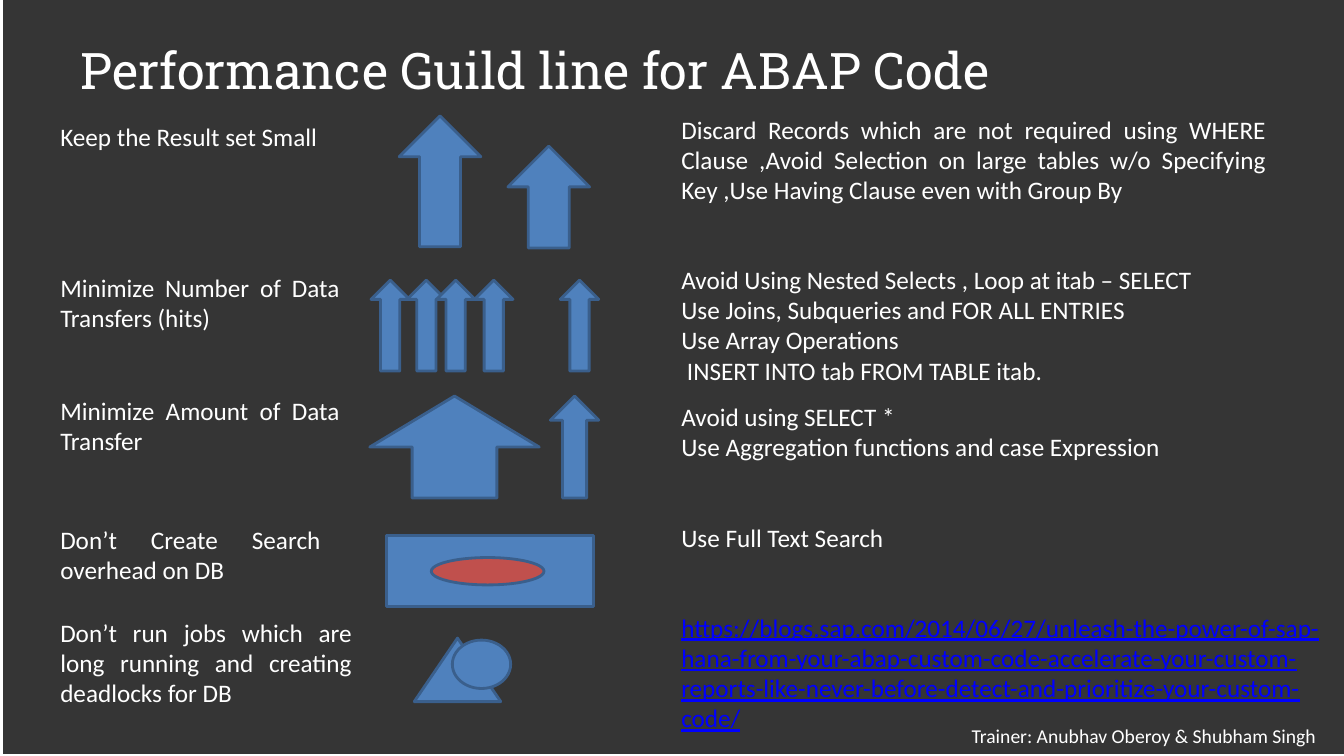
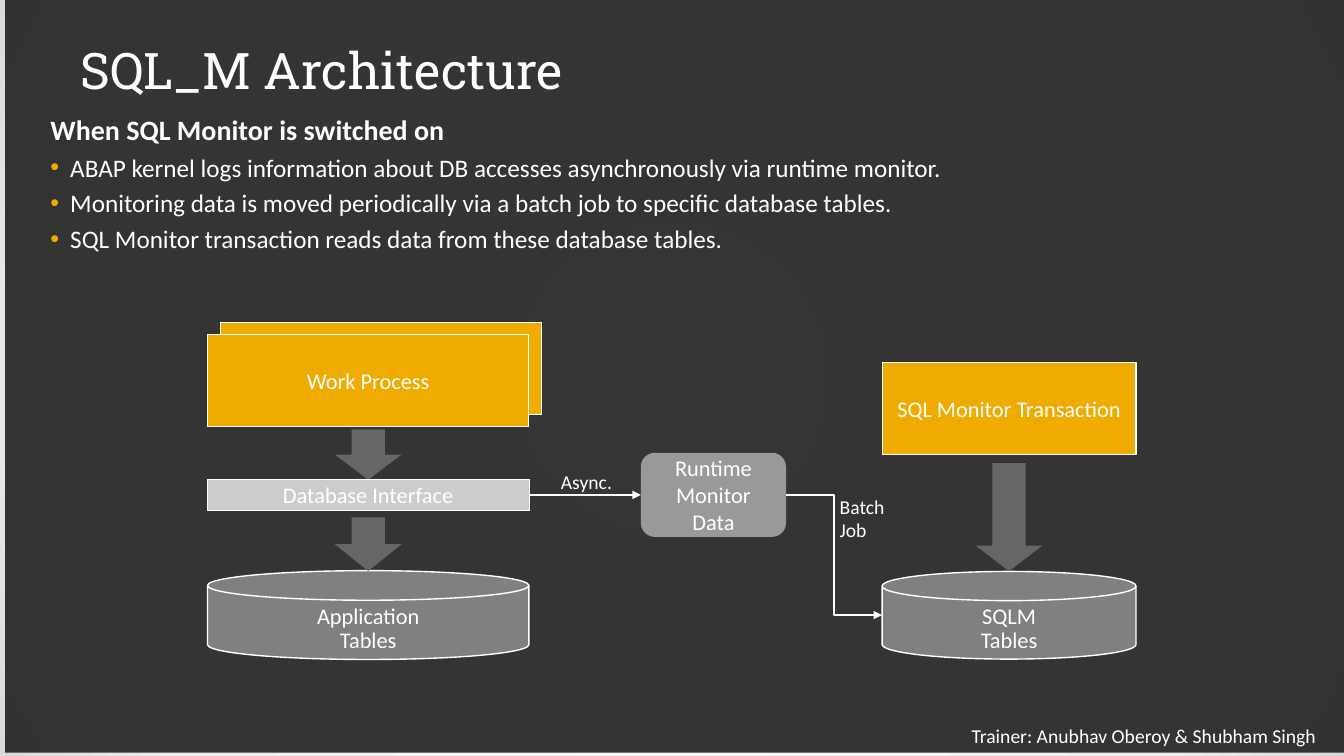
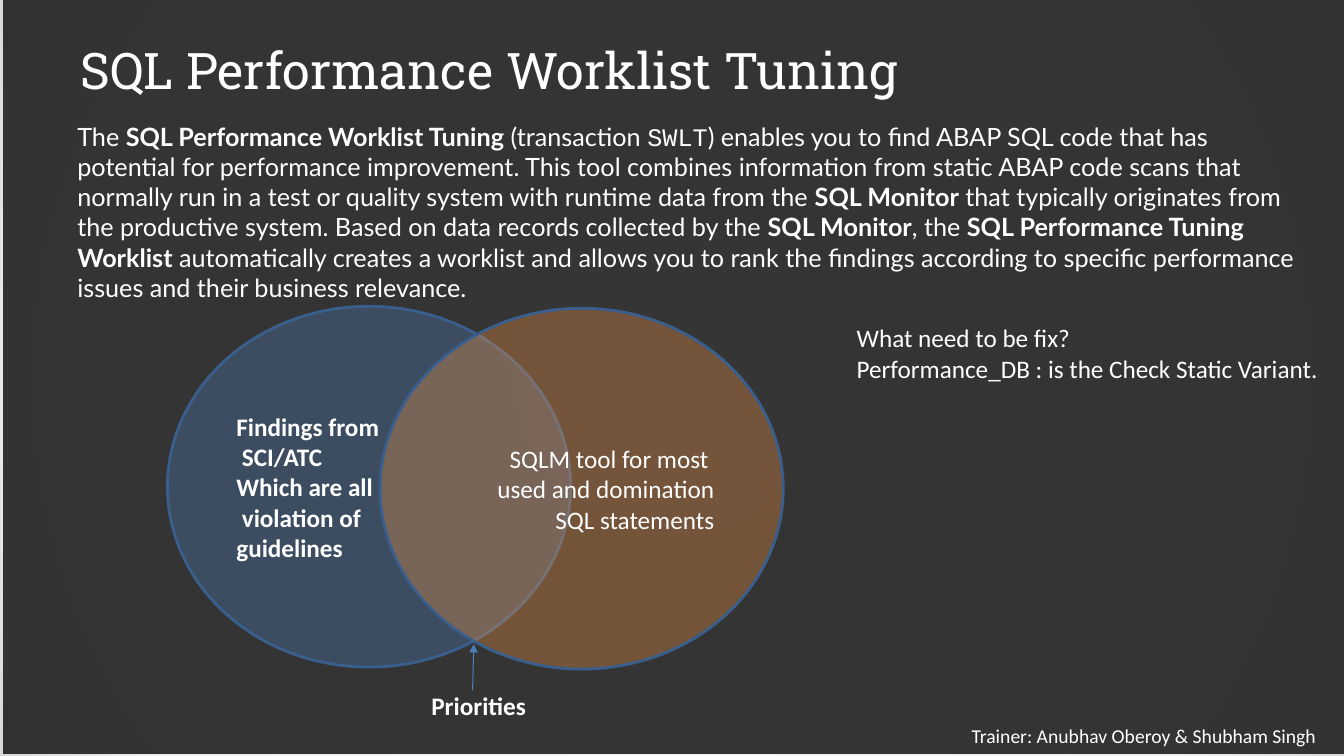
from dataclasses import dataclass

from lxml.etree import SubElement
from pptx import Presentation
from pptx.dml.color import RGBColor
from pptx.enum.shapes import MSO_CONNECTOR as Link, MSO_SHAPE as Shape
from pptx.enum.text import MSO_ANCHOR as Anchor, MSO_AUTO_SIZE as AutoSize, PP_ALIGN as Align
from pptx.oxml import parse_xml
from pptx.oxml.ns import nsdecls, qn
from pptx.util import Cm, Pt

WHITE = RGBColor(0xFF, 0xFF, 0xFF)
CHARCOAL = RGBColor(0x26, 0x26, 0x26)
BLUE = RGBColor(0x4F, 0x81, 0xBD)
DARK_BLUE = RGBColor(0x3A, 0x5F, 0x8C)
ARROW_BLUE = RGBColor(0x4B, 0x7E, 0xBC)
LINK_BLUE = RGBColor(0x00, 0x00, 0xFF)
RED = RGBColor(0xC0, 0x50, 0x4D)
ORANGE = RGBColor(0xF7, 0x96, 0x46)
AMBER = RGBColor(0xF0, 0xAB, 0x00)
DARK_GREY = RGBColor(0x66, 0x66, 0x66)
GREY = RGBColor(0x80, 0x80, 0x80)
MID_GREY = RGBColor(0x99, 0x99, 0x99)
LIGHT_GREY = RGBColor(0xCC, 0xCC, 0xCC)

BODY_FONT = "Calibri"
TITLE_FONT = "Roboto Slab"
PROSE_FONT = "Lato"
CODE_FONT = "Courier New"

SLIDE_W, SLIDE_H = 33.87, 19.05
TITLE_BOX = (1.7, 0.76, 30.48, 1.98)
FOOTER_BOX = (23.93, 18.14, 9.8, 0.79)
BAND_INSETS = (0.33, 0.18, 0.33, 0.18)
DEFAULT_INSETS = (0.25, 0.13, 0.25, 0.13)
NO_INSETS = (0, 0, 0, 0)

BACKDROP = f"""<a:gradFill {nsdecls("a")} rotWithShape="1"><a:gsLst>
<a:gs pos="0"><a:srgbClr val="FFFFFF"/></a:gs>
<a:gs pos="81000"><a:srgbClr val="EEEEEE"/></a:gs>
<a:gs pos="100000"><a:srgbClr val="D9D9D9"/></a:gs></a:gsLst>
<a:path path="circle"><a:fillToRect l="50000" t="50000" r="50000" b="50000"/></a:path>
</a:gradFill>"""


@dataclass
class Guideline:
    top: float
    label: str
    label_width: float
    detail: str
    detail_shift: float
    detail_width: float
    symbols: list
    detail_color: RGBColor = WHITE


def arrow(*box):
    return Shape.UP_ARROW, box, BLUE


GUIDELINES = [
    Guideline(
        2.92, "Keep the Result set Small", 8.97,
        "Discard Records which are not required using WHERE Clause ,Avoid Selection on "
        "large tables w/o Specifying Key ,Use Having Clause even with Group By",
        -0.18, 15.24,
        [arrow(8.79, 0, 2.06, 3.3), arrow(11.53, 0.76, 2.06, 2.57)]),
    Guideline(
        6.73, "Minimize Number of Data Transfers (hits)", 7.54,
        "Avoid Using Nested Selects , Loop at itab – SELECT\n"
        "Use Joins, Subqueries and FOR ALL ENTRIES\n"
        "Use Array Operations\n INSERT INTO tab FROM TABLE itab.",
        -0.2, 15.01,
        [arrow(x, 0.33, 0.97, 2.29) for x in (8.08, 8.99, 9.73, 10.69, 12.85)]),
    Guideline(
        9.83, "Minimize Amount of Data Transfer", 7.54,
        "Avoid using SELECT *\nUse Aggregation functions and case Expression",
        0.15, 15.01,
        [arrow(8.05, 0.15, 4.27, 2.57), arrow(12.6, 0.15, 1.22, 2.57)]),
    Guideline(
        13.08, "Don’t Create Search overhead on DB", 7.06,
        "Use Full Text Search", -0.05, 13.21,
        [(Shape.RECTANGLE, (8.48, 0.41, 5.21, 1.8), BLUE),
         (Shape.OVAL, (9.6, 0.97, 2.84, 0.69), RED)]),
    Guideline(
        15.42, "Don’t run jobs which are long running and creating deadlocks for DB", 7.85,
        "https://blogs.sap.com/2014/06/27/unleash-the-power-of-sap-hana-from-your-abap-"
        "custom-code-accelerate-your-custom-reports-like-never-before-detect-and-"
        "prioritize-your-custom-code/",
        -0.13, 16.95,
        [(Shape.ISOSCELES_TRIANGLE, (9.17, 0.66, 2.18, 1.6), BLUE),
         (Shape.OVAL, (10.13, 0.71, 1.47, 1.22), BLUE)],
        LINK_BLUE),
]

MONITOR_STEPS = [
    "ABAP kernel logs information about DB accesses asynchronously via runtime monitor.",
    "Monitoring data is moved periodically via a batch job to specific database tables.",
    "SQL Monitor transaction reads data from these database tables.",
]

WORKLIST_INTRO = [
    ("The ", False, PROSE_FONT),
    ("SQL Performance Worklist Tuning", True, PROSE_FONT),
    (" (transaction ", False, PROSE_FONT),
    ("SWLT", False, CODE_FONT),
    (") enables you to find ABAP SQL code that has potential for performance improvement. "
     "This tool combines information from static ABAP code scans that normally run in a "
     "test or quality system with runtime data from the ", False, PROSE_FONT),
    ("SQL Monitor", True, PROSE_FONT),
    (" that typically originates from the productive system. Based on data records "
     "collected by the ", False, PROSE_FONT),
    ("SQL Monitor", True, PROSE_FONT),
    (", the ", False, PROSE_FONT),
    ("SQL Performance Tuning Worklist", True, PROSE_FONT),
    (" automatically creates a worklist and allows you to rank the findings according to "
     "specific performance issues and their business relevance.", False, PROSE_FONT),
]


def place(box):
    return [Cm(value) for value in box]


def within(box, x, y, width, height):
    return box[0] + x, box[1] + y, width, height


def style_run(run, size, color=WHITE, bold=False, face=BODY_FONT):
    run.font.size = Pt(size)
    run.font.color.rgb = color
    run.font.bold = bold
    run.font.name = face


def set_frame(frame, insets, anchor, wrap=True):
    frame.auto_size = AutoSize.NONE
    frame.word_wrap = wrap
    frame.vertical_anchor = anchor
    frame.margin_left, frame.margin_top, frame.margin_right, frame.margin_bottom = place(insets)


def write(shape, text, size=18, color=WHITE, bold=False, face=BODY_FONT, align=Align.LEFT,
          insets=DEFAULT_INSETS, anchor=Anchor.TOP, wrap=True):
    frame = shape.text_frame
    frame.text = text
    set_frame(frame, insets, anchor, wrap)
    for paragraph in frame.paragraphs:
        paragraph.alignment = align
        for run in paragraph.runs:
            style_run(run, size, color, bold, face)
    return frame


def add_text(slide, box, text, **style):
    return write(slide.shapes.add_textbox(*place(box)), text, **style)


def add_figure(slide, kind, box, fill, outline=None, width=1.0, opacity=None):
    figure = slide.shapes.add_shape(kind, *place(box))
    figure.shadow.inherit = False
    figure.fill.solid()
    figure.fill.fore_color.rgb = fill
    if outline is None:
        figure.line.fill.background()
    else:
        figure.line.color.rgb = outline
        figure.line.width = Pt(width)
    if opacity is not None:
        tint = figure.element.spPr.find(".//" + qn("a:srgbClr"))
        SubElement(tint, qn("a:alpha"), val=str(opacity * 1000))
    return figure


def add_arrow(slide, kind, start, end, color, width):
    link = slide.shapes.add_connector(kind, *place(start + end))
    link.line.color.rgb = color
    link.line.width = Pt(width)
    properties = link.element.spPr
    SubElement(properties.find(qn("a:ln")), qn("a:tailEnd"), type="triangle")
    SubElement(properties, qn("a:effectLst"))
    return link


def start_slide(deck, title, layout=5, veil_left=0.08, veil_height=19.0, backdrop=True):
    slide = deck.slides.add_slide(deck.slide_layouts[layout])
    if backdrop:
        slide.background.fill.gradient()
        plain = slide.element.find(".//" + qn("a:gradFill"))
        plain.getparent().replace(plain, parse_xml(BACKDROP))
    veil_box = (veil_left, 0, SLIDE_W - veil_left, veil_height)
    veil = add_figure(slide, Shape.RECTANGLE, veil_box, CHARCOAL, opacity=93)
    slide.shapes.element.insert(2, veil.element)
    heading = slide.shapes.title
    heading.left, heading.top, heading.width, heading.height = place(TITLE_BOX)
    write(heading, title, 36, face=TITLE_FONT, insets=BAND_INSETS, anchor=Anchor.MIDDLE)
    add_text(slide, FOOTER_BOX, "Trainer: Anubhav Oberoy & Shubham Singh", size=14,
             align=Align.CENTER, insets=BAND_INSETS, anchor=Anchor.MIDDLE)
    return slide


def add_guideline(slide, box, guideline):
    add_text(slide, within(box, 0, 0, guideline.label_width, box[3]), guideline.label,
             align=Align.JUSTIFY)
    for kind, symbol_box, fill in guideline.symbols:
        add_figure(slide, kind, within(box, *symbol_box), fill, DARK_BLUE, 2)
    detail_box = within(box, 15.65, guideline.detail_shift, guideline.detail_width, box[3])
    detail = add_text(slide, detail_box, guideline.detail, color=guideline.detail_color,
                      align=Align.JUSTIFY)
    if guideline.detail_color == LINK_BLUE:
        detail.paragraphs[0].runs[0].font.underline = True


def add_monitor_list(slide, box):
    body = slide.placeholders[1]
    body.left, body.top, body.width, body.height = place(box)
    frame = write(body, "\n".join(["When SQL Monitor is switched on"] + MONITOR_STEPS),
                  insets=NO_INSETS)
    lead, *steps = frame.paragraphs
    style_run(lead.runs[0], 20, bold=True)
    lead.space_before = Pt(0)
    lead_format = lead._p.get_or_add_pPr()
    lead_format.set("marL", "0")
    lead_format.set("indent", "0")
    SubElement(lead_format, qn("a:buNone"))
    for step in steps:
        step.level = 1
        step.space_before = Pt(4)
        step_format = step._p.get_or_add_pPr()
        step_format.set("marL", str(Cm(0.5)))
        step_format.set("indent", str(-Cm(0.5)))
        bullet_color = SubElement(step_format, qn("a:buClr"))
        SubElement(bullet_color, qn("a:srgbClr"), val=str(AMBER))
        SubElement(step_format, qn("a:buChar"), char="•")


def add_architecture(slide, box):
    process_w, monitor_w, monitor_x = 8.1, 6.4, 17.0
    block_h, flow_w, axis_y = 2.31, 1.68, 4.34

    def block(kind, x, y, width, height, fill, text="", outline=WHITE, weight=0.75):
        figure = add_figure(slide, kind, within(box, x, y, width, height), fill, outline, weight)
        if text:
            write(figure, text, 16, align=Align.CENTER, insets=NO_INSETS, anchor=Anchor.MIDDLE)
        return figure

    def disk(x, y, width, height, text):
        figure = block(Shape.FLOWCHART_MAGNETIC_DISK, x, y, width, height, GREY, weight=1)
        frame = write(figure, text, 16, align=Align.CENTER, insets=(0.3, 0.12, 0.3, 0.1))
        frame.paragraphs[0].line_spacing = 0.9

    def flow(center, y, height, head=0.5):
        figure = block(Shape.DOWN_ARROW, center - flow_w / 2, y, flow_w, height, DARK_GREY,
                       outline=None)
        figure.adjustments[1] = head

    def point(x, y):
        return box[0] + x, box[1] + y

    block(Shape.RECTANGLE, 0.33, 0, process_w, block_h, AMBER)
    block(Shape.RECTANGLE, 0, 0.3, process_w, block_h, AMBER, "Work Process")
    block(Shape.RECTANGLE, monitor_x, 1.01, monitor_w, block_h, AMBER, "SQL Monitor Transaction")
    disk(0, 6.25, process_w, 2.24, "Application\vTables")
    disk(monitor_x, 6.27, monitor_w, 2.21, "SQLM\vTables")
    flow(process_w / 2, 2.69, 1.27)
    flow(process_w / 2, 4.91, 1.35)
    flow(monitor_x + monitor_w / 2, 3.54, 2.72, 0.38)
    interface = block(Shape.RECTANGLE, 0, axis_y - 0.38, process_w, 0.76, LIGHT_GREY,
                      "Database Interface", weight=0.5)
    runtime = block(Shape.ROUNDED_RECTANGLE, 10.92, axis_y - 1.06, 3.66, 2.12, MID_GREY,
                    "Runtime Monitor\vData", outline=None)
    set_frame(runtime.text_frame, (0.25, 0.2, 0.25, 0.2), Anchor.MIDDLE)

    logging = add_arrow(slide, Link.STRAIGHT, point(process_w, axis_y), point(10.92, axis_y),
                        WHITE, 1)
    logging.begin_connect(interface, 3)
    logging.end_connect(runtime, 1)
    add_arrow(slide, Link.ELBOW, point(14.58, axis_y), point(monitor_x, 7.37), WHITE, 1)
    add_text(slide, within(box, 8.89, 3.71, 1.32, 0.61), "Async.", size=14,
             align=Align.CENTER, insets=NO_INSETS, wrap=False)
    add_text(slide, within(box, 15.93, axis_y, 1.14, 1.19), "Batch\vJob", size=14,
             insets=NO_INSETS, wrap=False)


def add_worklist_intro(slide, box):
    frame = add_text(slide, box, "")
    for text, bold, face in WORKLIST_INTRO:
        run = frame.paragraphs[0].add_run()
        run.text = text
        style_run(run, 18, bold=bold, face=face)


def add_venn(slide, box):
    circle_w, circle_h = 10.16, 9.09
    findings = add_figure(slide, Shape.OVAL, within(box, 0, 0, circle_w, circle_h),
                          BLUE, DARK_BLUE, 2, opacity=33)
    frame = write(findings, "Findings from\nSCI/ATC\nWhich are all\nviolation of\nguidelines",
                  bold=True, anchor=Anchor.MIDDLE)
    for paragraph in frame.paragraphs[1::2]:
        paragraph._p.get_or_add_pPr().set("marL", str(Cm(0.14)))
    usage = add_figure(slide, Shape.OVAL, within(box, 5.36, 0.05, circle_w, circle_h),
                       ORANGE, DARK_BLUE, 2, opacity=33)
    write(usage, "SQLM tool for most \nused and domination\nSQL statements",
          align=Align.RIGHT, anchor=Anchor.MIDDLE)
    add_text(slide, within(box, 6.4, 9.55, 7.49, 1.02), "Priorities", bold=True)
    add_arrow(slide, Link.STRAIGHT, (box[0] + 7.69, box[1] + 9.68),
              (box[0] + 7.72, box[1] + 8.51), ARROW_BLUE, 0.75)


def main():
    deck = Presentation()
    deck.slide_width, deck.slide_height = Cm(SLIDE_W), Cm(SLIDE_H)

    guidelines = start_slide(deck, "Performance Guild line for ABAP Code", backdrop=False)
    for guideline in GUIDELINES:
        add_guideline(guidelines, (1.27, guideline.top, 32.6, 2.5), guideline)

    architecture = start_slide(deck, "SQL_M Architecture", layout=1, veil_left=0.13,
                               veil_height=18.97)
    add_monitor_list(architecture, (1.27, 2.84, 31.47, 3.76))
    add_architecture(architecture, (5.23, 8.13, 23.4, 8.5))

    worklist = start_slide(deck, "SQL Performance Worklist Tuning")
    add_worklist_intro(worklist, (1.7, 2.92, 31.22, 4.88))
    add_venn(worklist, (4.22, 7.72, 15.52, 10.57))
    add_text(worklist, (21.34, 8, 12.52, 1.8),
             "What need to be fix?\nPerformance_DB : is the Check Static Variant.", wrap=False)

    deck.save("out.pptx")


if __name__ == "__main__":
    main()
